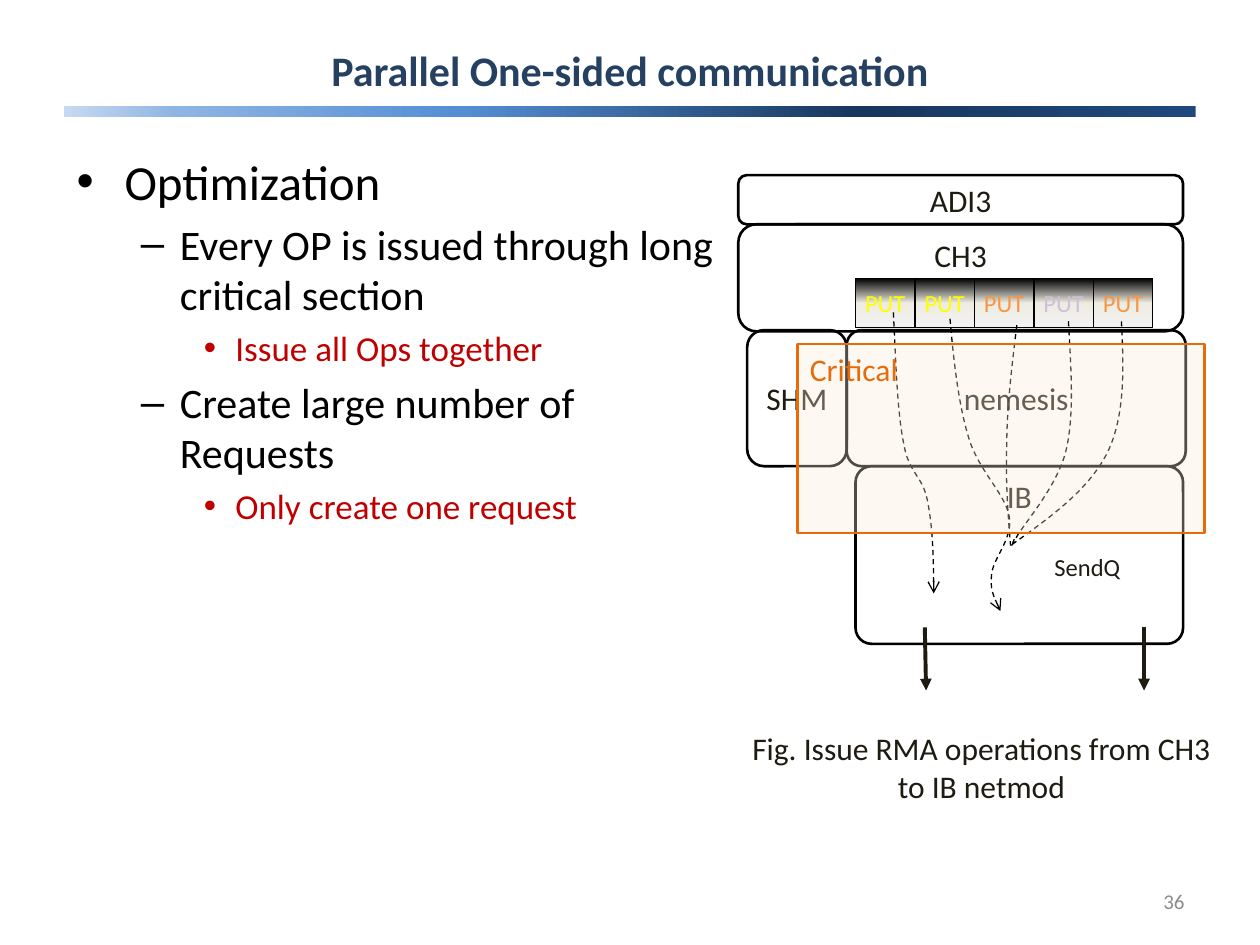
from lxml import etree
from pptx import Presentation
from pptx import util as u
from pptx.dml.color import RGBColor
from pptx.enum import dml, shapes, text
from pptx.oxml.ns import qn

INK = "1E1C11"
ORANGE = "E46C0A"
RED = "C00000"
LEFT, CENTER, RIGHT = text.PP_ALIGN.LEFT, text.PP_ALIGN.CENTER, text.PP_ALIGN.RIGHT
TOP, MIDDLE = text.MSO_ANCHOR.TOP, text.MSO_ANCHOR.MIDDLE
BAR_STOPS = [(0, "1F497D"), (30, "17375E"), (65, "558ED5"), (90, "8EB4E3"), (100, "C6D9F1")]
CELL_STOPS = [(0, "000000"), (50, "EEECE1"), (100, "F2F2F2")]


def rgb(value):
    return RGBColor.from_string(value)


def write(p, content, size=18, color=INK, bold=False, align=LEFT):
    p.alignment = align
    r = p.add_run()
    r.text = content
    r.font.name, r.font.size, r.font.bold = "Calibri", u.Pt(size), bold
    r.font.color.rgb = rgb(color)


def add_bullet(p, char, margin, indent):
    pPr = p._p.get_or_add_pPr()
    pPr.set("marL", str(u.Inches(margin)))
    pPr.set("indent", str(-u.Inches(indent)))
    etree.SubElement(pPr, qn("a:buFont"), typeface="Arial")
    etree.SubElement(pPr, qn("a:buChar"), char=char)


class Deck:
    def __init__(self):
        self.prs = Presentation()
        self.prs.slide_width, self.prs.slide_height = u.Inches(10), u.Inches(7.5)
        self.s = self.prs.slides.add_slide(self.prs.slide_layouts[5])

    def frame(self, sp, anchor, inset=0.1):
        tf = sp.text_frame
        tf.word_wrap, tf.vertical_anchor = True, anchor
        tf.margin_left = tf.margin_right = u.Inches(inset)
        tf.margin_top = tf.margin_bottom = u.Inches(0.05)
        return tf

    def outline(self, sp, color, width, head=None, dashed=False):
        sp.line.color.rgb, sp.line.width = rgb(color), u.Pt(width)
        if dashed:
            sp.line.dash_style = dml.MSO_LINE.DASH
        if head:
            etree.SubElement(sp.line._get_or_add_ln(), qn("a:tailEnd"), type=head)

    def gradient(self, sp, stops, angle):
        """Fill with (percent, colour) stops; the angle turns clockwise."""
        sp.fill.gradient()
        sp.fill.gradient_angle = 360 - angle
        stop_list = sp._element.spPr.find(".//" + qn("a:gsLst"))
        for old in list(stop_list):
            stop_list.remove(old)
        for percent, color in stops:
            stop = etree.SubElement(stop_list, qn("a:gs"), pos=str(percent * 1000))
            etree.SubElement(stop, qn("a:srgbClr"), val=color)

    def title(self, content, box):
        sp = self.s.shapes.title
        sp.left, sp.top, sp.width, sp.height = map(u.Inches, box)
        tf = self.frame(sp, MIDDLE)
        write(tf.paragraphs[0], content, size=24, color="254061", bold=True, align=CENTER)

    def label(self, content, box, anchor=TOP, **style):
        sp = self.s.shapes.add_textbox(*map(u.Inches, box))
        write(self.frame(sp, anchor).paragraphs[0], content, **style)

    def bullets(self, items, box):
        levels = [("•", 0.38, 0.38, 28), ("–", 0.82, 0.31, 24), ("•", 1.26, 0.25, 20)]
        tf = self.frame(self.s.shapes.add_textbox(*map(u.Inches, box)), TOP)
        for i, (level, content, color) in enumerate(items):
            char, margin, indent, size = levels[level]
            p = tf.add_paragraph() if i else tf.paragraphs[0]
            p.level = level
            if i:
                p.space_before = u.Pt(size * 0.2)
            add_bullet(p, char, margin, indent)
            write(p, content, size=size, color=color)

    def box(self, box, content="", rounding=None, fill=None, alpha=None, stops=None, angle=90,
            line="000000", width=1.5, anchor=MIDDLE, inset=0.1, **style):
        kind = shapes.MSO_SHAPE.RECTANGLE if rounding is None else shapes.MSO_SHAPE.ROUNDED_RECTANGLE
        sp = self.s.shapes.add_shape(kind, *map(u.Inches, box))
        sp.shadow.inherit = False
        if rounding is not None:
            sp.adjustments[0] = rounding
        if stops:
            self.gradient(sp, stops, angle)
        elif fill:
            sp.fill.solid()
            sp.fill.fore_color.rgb = rgb(fill)
        else:
            sp.fill.background()
        if alpha:
            color = sp._element.spPr.find(qn("a:solidFill") + "/" + qn("a:srgbClr"))
            etree.SubElement(color, qn("a:alpha"), val=str(alpha * 1000))
        if line:
            self.outline(sp, line, width)
        else:
            sp.line.fill.background()
        if content:
            write(self.frame(sp, anchor, inset).paragraphs[0], content, **style)

    def curve(self, points, head=None):
        """Draw a chain of cubic curves: a start point, then three points per curve."""
        points = [(u.Inches(x), u.Inches(y)) for x, y in points]
        builder = self.s.shapes.build_freeform(*points[0])
        builder.add_line_segments(points[3::3], close=False)
        sp = builder.convert_to_shape()
        segments = sp._element.spPr.findall(".//" + qn("a:lnTo"))
        for i, segment in enumerate(segments):
            cubic = etree.Element(qn("a:cubicBezTo"))
            for x, y in points[3 * i + 1:3 * i + 4]:
                etree.SubElement(cubic, qn("a:pt"), x=str(x - sp.left), y=str(y - sp.top))
            segment.getparent().replace(segment, cubic)
        sp.shadow.inherit = False
        sp.fill.background()
        self.outline(sp, "000000", 0.75, head, dashed=True)

    def arrow(self, x1, y1, x2, y2):
        sp = self.s.shapes.add_connector(shapes.MSO_CONNECTOR.STRAIGHT,
                                         *map(u.Inches, (x1, y1, x2, y2)))
        self.outline(sp, INK, 2.25, "triangle")
        etree.SubElement(sp._element.spPr, qn("a:effectLst"))


def main():
    deck = Deck()
    deck.box((0.51, 0.84, 8.98, 0.09), stops=BAR_STOPS, angle=180, line=None)
    deck.title("Parallel One-sided communication", (0.5, 0.26, 9, 0.58))
    deck.bullets([
        (0, "Optimization", "000000"),
        (1, "Every OP is issued through long critical section", "000000"),
        (2, "Issue all Ops together", RED),
        (1, "Create large number of Requests", "000000"),
        (2, "Only create one request", RED),
    ], (0.51, 1.15, 5.35, 5.77))

    layers = [
        ("ADI3", (5.86, 1.39, 3.53, 0.39), 0.17, None, MIDDLE),
        ("CH3", (5.86, 1.78, 3.53, 0.85), 0.17, None, TOP),
        ("SHM", (5.93, 2.62, 0.79, 1.08), 0.17, None, MIDDLE),
        ("nemesis", (6.72, 2.62, 2.69, 1.08), 0.11, None, MIDDLE),
        ("IB", (6.79, 3.7, 2.6, 1.41), 0.09, "FFFFFF", TOP),
    ]
    for name, box, rounding, fill, anchor in layers:
        deck.box(box, name, rounding=rounding, fill=fill, anchor=anchor, align=CENTER)

    put_colors = ["FFFF00", "FFFF00", "F79646", "CCC1DA", "F79646"]
    cell_width = 2.36 / len(put_colors)
    for i, color in enumerate(put_colors):
        deck.box((6.79 + cell_width * i, 2.21, cell_width, 0.39), "PUT", stops=CELL_STOPS,
                 width=0.75, inset=0.04, size=14, color=color, align=CENTER)

    deck.curve([(7.09, 2.48), (7.11, 2.87), (7.12, 3.26), (7.17, 3.51), (7.21, 3.76),
                (7.32, 3.77), (7.36, 3.97), (7.4, 4.17), (7.41, 4.44), (7.41, 4.71)], "arrow")
    deck.arrow(7.34, 4.98, 7.35, 5.48)
    deck.label("SendQ", (8.27, 4.33, 0.88, 0.34), anchor=MIDDLE, size=14)
    deck.arrow(9.08, 4.98, 9.08, 5.48)
    deck.curve([(7.54, 2.53), (7.57, 2.88), (7.61, 3.22), (7.69, 3.48), (7.77, 3.74),
                (7.98, 3.92), (8.01, 4.1), (8.04, 4.28), (7.88, 4.43), (7.87, 4.56),
                (7.86, 4.68), (7.9, 4.77), (7.94, 4.85)], "arrow")
    merging_curves = [
        [(8.07, 2.58), (8.03, 2.91), (7.99, 3.24), (7.99, 3.53), (7.98, 3.83), (8, 4.08),
         (8.02, 4.33)],
        [(8.48, 2.55), (8.5, 2.92), (8.53, 3.29), (8.46, 3.58), (8.39, 3.86), (8.14, 4.14),
         (8.07, 4.26), (8, 4.38), (8.03, 4.33), (8.05, 4.28)],
        [(8.9, 2.55), (8.92, 2.92), (8.93, 3.3), (8.79, 3.59), (8.64, 3.89), (8.33, 4.11),
         (8.02, 4.33)],
    ]
    for points in merging_curves:
        deck.curve(points)

    deck.box((6.33, 2.73, 3.23, 1.5), "Critical", fill="FDEADA", alpha=32, line=ORANGE,
             anchor=TOP, color=ORANGE)
    deck.label("Fig. Issue RMA operations from CH3 to IB netmod", (5.86, 5.74, 3.86, 0.71),
               align=CENTER)
    deck.label("36", (7.17, 6.95, 2.33, 0.4), anchor=MIDDLE, size=12, color="8C8C8C", align=RIGHT)
    deck.prs.save("out.pptx")


if __name__ == "__main__":
    main()
